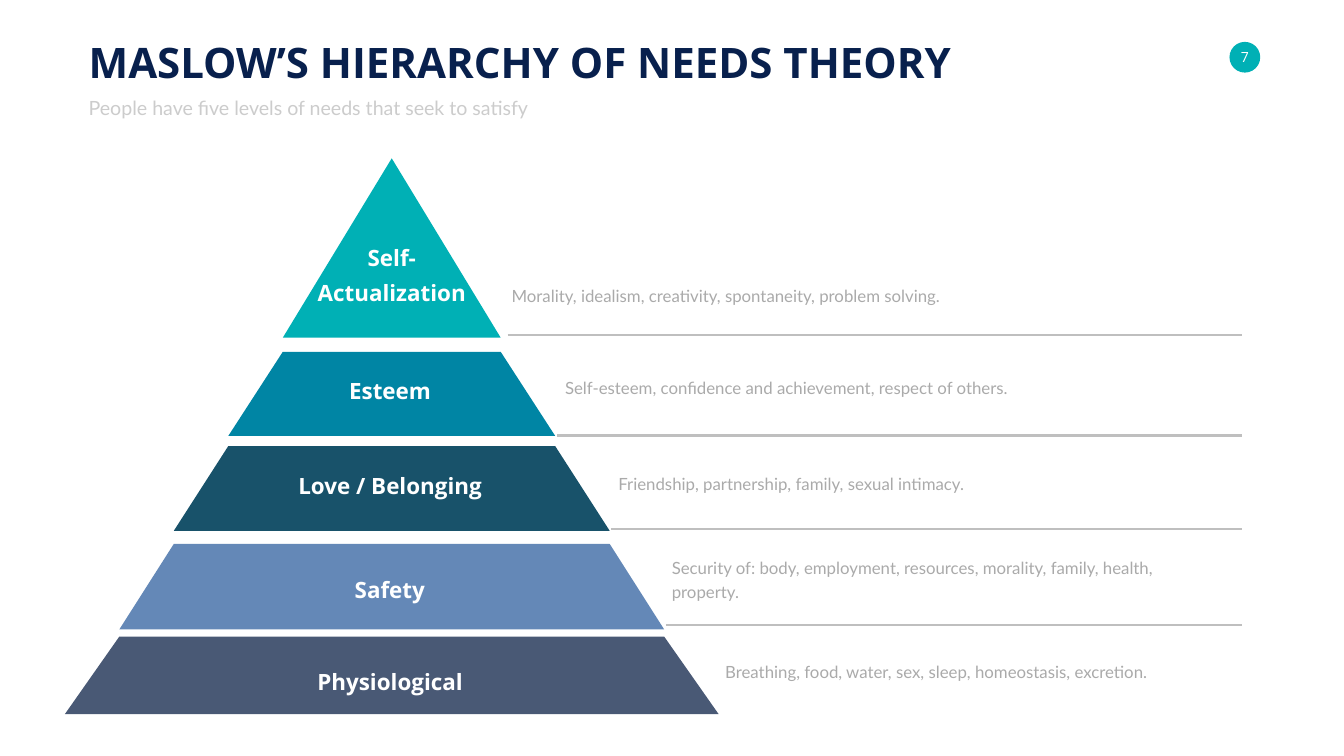
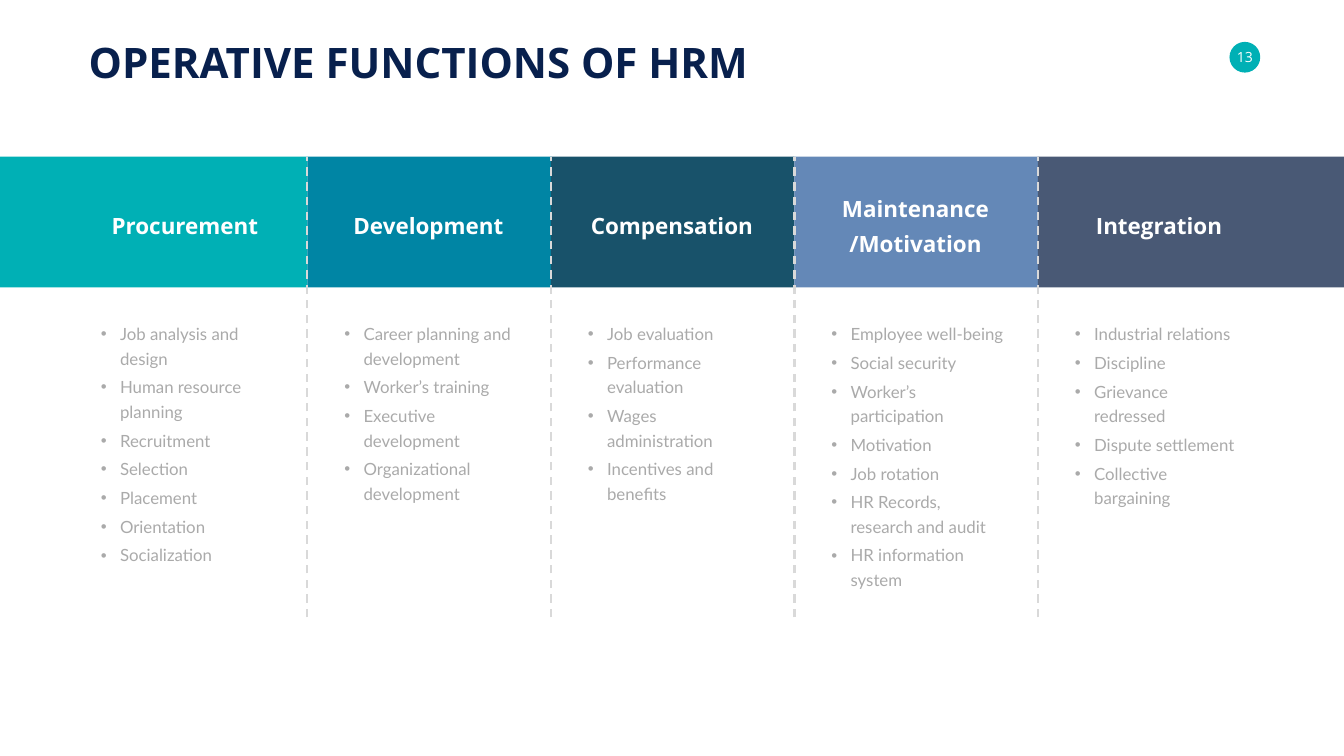
from dataclasses import dataclass

from lxml import etree
from pptx import Presentation
from pptx.dml.color import RGBColor
from pptx.enum import dml, shapes, text
from pptx.oxml import ns
from pptx.util import Cm, Pt


# Theme: colours, fonts and type sizes
@dataclass(frozen=True)
class Theme:
    tints: tuple = ("00B0B5", "0085A4", "18526A", "6488B7", "495975")
    navy: str = "08204D"
    white: str = "FFFFFF"
    pale: str = "CCCCCC"
    grey: str = "AAAAAA"
    rule: str = "BFBFBF"
    dash: str = "D9D9D9"
    head: str = "Open Sans"
    body: str = "Lato"


@dataclass(frozen=True)
class Style:
    font: str
    size: int
    color: str
    bold: bool = False
    lead: int = 0
    gap: int = 0
    align: object = None


T = Theme()
MID = text.PP_ALIGN.CENTER
TITLE = Style(T.head, 60, T.navy, bold=True)
SUB = Style(T.body, 28, T.pale, lead=35)
LABEL = Style(T.head, 32, T.white, bold=True, lead=50, align=MID)
NOTE = Style(T.body, 24, T.grey, lead=35, gap=6)
PAGE = Style(T.head, 20, T.white, align=MID)

WIDE, HIGH = 67.72, 38.1

# Pyramid: top, bottom, label, label box (left, top, width, height)
TIERS = [
    (7.98, 17.02, "Self-\nActualization", (15.72, 11.89, 8.05, 3.66)),
    (17.73, 21.97, "Esteem", (17.32, 18.52, 4.67, 1.88)),
    (22.48, 26.75, "Love / Belonging", (14.73, 23.34, 9.86, 1.88)),
    (27.41, 31.72, "Safety", (17.6, 28.55, 4.09, 1.88)),
    (32.08, 35.99, "Physiological", (15.7, 33.2, 7.92, 1.88)),
]
# Notes beside the tiers: top, height, text
NOTES = [
    (14.12, 1.37, "Morality, idealism, creativity, spontaneity, problem solving."),
    (18.77, 1.37, "Self-esteem, confidence and achievement, respect of others."),
    (23.6, 1.37, "Friendship, partnership, family, sexual intimacy."),
    (27.79, 2.62, "Security of: body, employment, resources, morality, family, "
                  "health, property."),
    (33.05, 1.37, "Breathing, food, water, sex, sleep, homeostasis, excretion."),
]
RULES = [(25.58, 16.87), (28.09, 21.95), (30.78, 26.67), (33.55, 31.52)]

# Functions: heading, heading width, list width, list height, items
COLUMNS = [
    ("Procurement", 7.98, 8.99, 12.57,
     ["Job analysis and design", "Human resource planning", "Recruitment",
      "Selection", "Placement", "Orientation", "Socialization"]),
    ("Development", 8.13, 8.99, 9.47,
     ["Career planning and development", "Worker’s training",
      "Executive development", "Organizational development"]),
    ("Compensation", 8.76, 8.99, 9.47,
     ["Job evaluation", "Performance evaluation", "Wages administration",
      "Incentives and benefits"]),
    ("Maintenance\n/Motivation", 7.98, 9.3, 13.82,
     ["Employee well-being", "Social security", "Worker’s participation",
      "Motivation", "Job rotation", "HR Records, research and audit",
      "HR information system"]),
    ("Integration", 6.93, 8.99, 8.43,
     ["Industrial relations", "Discipline", "Grievance redressed",
      "Dispute settlement", "Collective bargaining"]),
]


# Element builders
def paint(shape, color):
    shape.shadow.inherit = False
    shape.fill.solid()
    shape.fill.fore_color.rgb = RGBColor.from_string(color)
    shape.line.fill.background()


def block(slide, kind, box, color):
    paint(slide.shapes.add_shape(kind, *map(Cm, box)), color)


def write(slide, words, box, style, anchor=text.MSO_ANCHOR.MIDDLE, wrap=False):
    frame = slide.shapes.add_textbox(*map(Cm, box)).text_frame
    frame.text = words
    frame.word_wrap = wrap
    frame.auto_size = text.MSO_AUTO_SIZE.SHAPE_TO_FIT_TEXT
    frame.vertical_anchor = anchor
    for i, para in enumerate(frame.paragraphs):
        if style.align is not None:
            para.alignment = style.align
        if style.lead:
            para.line_spacing = Pt(style.lead)
        if style.gap and i:
            para.space_before = Pt(style.gap)
        for run in para.runs:
            font = run.font
            font.name, font.size, font.bold = style.font, Pt(style.size), style.bold
            font.color.rgb = RGBColor.from_string(style.color)
    return frame


def bullets(slide, items, box):
    frame = write(slide, "\n".join(items), box, NOTE, text.MSO_ANCHOR.TOP, True)
    for para in frame.paragraphs:
        props = para._p.get_or_add_pPr()
        props.set("marL", str(Cm(0.97)))
        props.set("indent", str(-Cm(0.97)))
        etree.SubElement(props, ns.qn("a:buFont")).set("typeface", "Arial")
        etree.SubElement(props, ns.qn("a:buChar")).set("char", "•")


def rule(slide, x1, y1, x2, y2, color, dash=None):
    line = slide.shapes.add_connector(
        shapes.MSO_CONNECTOR.STRAIGHT, *map(Cm, (x1, y1, x2, y2)))
    line.line.color.rgb = RGBColor.from_string(color)
    line.line.width = Pt(3)
    if dash:
        line.line.dash_style = dash
    etree.SubElement(line._element.spPr, ns.qn("a:effectLst"))


def tier(slide, mid, top, low, near, far, color):
    points = [(mid - near, top), (mid + near, top), (mid + far, low), (mid - far, low)]
    if not near:
        points = points[1:]
    spots = [(Cm(x), Cm(y)) for x, y in points]
    pen = slide.shapes.build_freeform(*spots[0])
    pen.add_line_segments(spots[1:], close=True)
    paint(pen.convert_to_shape(), color)


# Shared frame: page badge and title
def start(deck, page, title, width):
    slide = deck.slides.add_slide(deck.slide_layouts[6])
    block(slide, shapes.MSO_SHAPE.OVAL, (61.95, 2.11, 1.55, 1.55), T.tints[0])
    frame = write(slide, page, (62.28, 2.46, 0.89, 0.86), PAGE)
    frame.margin_left = frame.margin_right = 0
    frame.margin_top = frame.margin_bottom = 0
    write(slide, title, (4.22, 1.7, width, 2.82), TITLE, text.MSO_ANCHOR.TOP)
    return slide


# Slide of the pyramid
def needs(deck):
    slide = start(deck, "7", "MASLOW’S HIERARCHY OF NEEDS THEORY", 44.4)
    write(slide, "People have five levels of needs that seek to satisfy",
          (4.22, 4.67, 23.01, 1.4), SUB, text.MSO_ANCHOR.TOP)
    mid, step = 19.74, 16.47 / 6
    for i, (top, low, name, box) in enumerate(TIERS):
        near = step * (i + 1) if i else 0
        tier(slide, mid, top, low, near, step * (i + 2), T.tints[i])
        anchor = text.MSO_ANCHOR.MIDDLE if i else text.MSO_ANCHOR.BOTTOM
        write(slide, name, box, LABEL, anchor)
    for x, y in RULES:
        rule(slide, x, y, 62.59, y, T.rule)
    for i, (top, high, words) in enumerate(NOTES):
        write(slide, words, (25.53 + 2.69 * i, top, 25.22, high), NOTE, wrap=True)


# Slide of the five columns
def tasks(deck):
    slide = start(deck, "13", "OPERATIVE FUNCTIONS OF HRM", 34.06)
    step, top, high = 12.27, 7.9, 6.58
    cuts = [15.49 + step * i for i in range(4)]
    edges = [0, *cuts, WIDE]
    for i, (name, width, span, deep, items) in enumerate(COLUMNS):
        block(slide, shapes.MSO_SHAPE.RECTANGLE,
              (edges[i], top, edges[i + 1] - edges[i], high), T.tints[i])
        tall = 3.66 if "\n" in name else 1.88
        write(slide, name,
              (9.32 + step * i - width / 2, 11.18 - tall / 2, width, tall), LABEL)
        bullets(slide, items, (4.83 + step * i, 15.98, span, deep))
    for x in cuts:
        rule(slide, x, 31.12, x, top, T.dash, dml.MSO_LINE.DASH)


def main():
    deck = Presentation()
    deck.slide_width, deck.slide_height = Cm(WIDE), Cm(HIGH)
    needs(deck)
    tasks(deck)
    deck.save("out.pptx")


if __name__ == "__main__":
    main()
